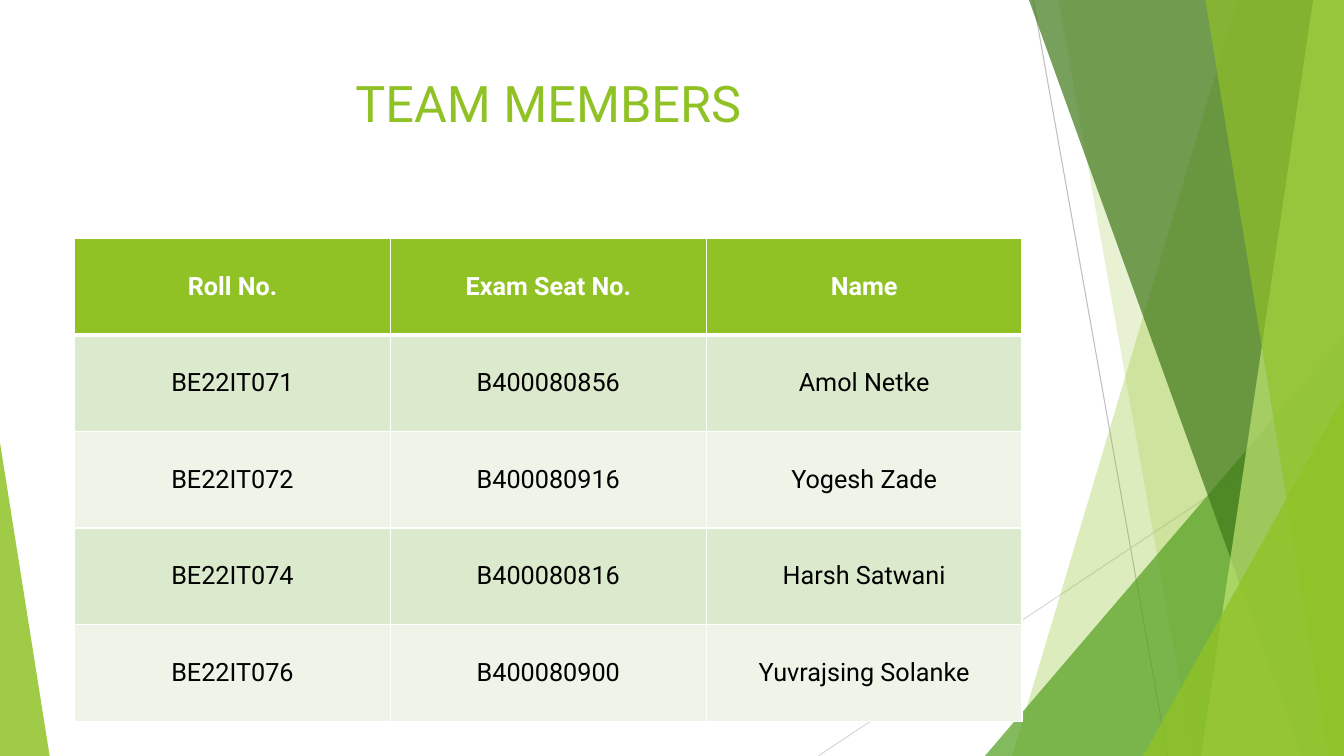
from pptx import Presentation
from pptx.dml.color import RGBColor
from pptx.enum.shapes import MSO_CONNECTOR as Link, MSO_SHAPE as Kind
from pptx.enum.text import MSO_ANCHOR as Anchor, PP_ALIGN as Align
from pptx.oxml import parse_xml
from pptx.oxml.ns import nsdecls, qn
from pptx.util import Pt

LIME = RGBColor(0x90, 0xC2, 0x26)
PALE = RGBColor(0xC0, 0xE4, 0x74)
GREEN = RGBColor(0x54, 0xA0, 0x21)
DARK = RGBColor(0x3F, 0x78, 0x19)
GREY = RGBColor(0xBF, 0xBF, 0xBF)
SILVER = RGBColor(0xD9, 0xD9, 0xD9)
WHITE = RGBColor(0xFF, 0xFF, 0xFF)
BLACK = RGBColor(0, 0, 0)
BANDS = [RGBColor(0xDB, 0xE9, 0xCD), RGBColor(0xEE, 0xF4, 0xE8)]
FONT = "Roboto"
WIDE, HIGH = 960, 540


def tint(shape, color, alpha):
    """Fill a shape with a see-through colour (alpha in percent), no outline."""
    shape.shadow.inherit = False
    shape.line.fill.background()
    shape.fill.solid()
    shape.fill.fore_color.rgb = color
    tone = shape.fill._xPr.find(qn("a:solidFill"))[0]
    tone.append(parse_xml(f'<a:alpha {nsdecls("a")} val="{alpha * 1000}"/>'))


def write(frame, text, size, color, bold=False):
    para = frame.paragraphs[0]
    para.alignment = Align.CENTER
    run = para.add_run()
    run.text = text
    run.font.name = FONT
    run.font.size = Pt(size)
    run.font.bold = bold
    run.font.color.rgb = color


deck = Presentation()
deck.slide_width, deck.slide_height = Pt(WIDE), Pt(HIGH)
slide = deck.slides.add_slide(deck.slide_layouts[5])
shapes = slide.shapes

# Thin lines behind the facets
for x1, y1, x2, y2, color in [
    (738, 0, 834, HIGH, GREY),
    (WIDE, 290, 584.5, HIGH, SILVER),
]:
    line = shapes.add_connector(Link.STRAIGHT, Pt(x1), Pt(y1), Pt(x2), Pt(y2))
    line.line.color.rgb = color
    line.line.width = Pt(0.75)
    line._element.spPr.append(parse_xml(f'<a:effectLst {nsdecls("a")}/>'))

# Facets, back to front: a band is (top x, foot x) up to the right edge,
# a triangle is (left, top, width, apex) down to the bottom edge
for spot, color, alpha in [
    ((884, 723), LIME, 30),
    ((756, 852), LIME, 20),
    ((703.5, 240, 256.5, 1), GREEN, 72),
    ((735, 929.5), DARK, 70),
    ((938, 858), PALE, 70),
    ((861, 949), LIME, 65),
    ((816.5, 283, 143.5, 1), LIME, 80),
    ((0, 316, 35.5, 0), LIME, 85),
]:
    if len(spot) == 2:
        top, foot = spot
        path = shapes.build_freeform(top, 0, scale=Pt(1))
        path.add_line_segments([(WIDE, 0), (WIDE, HIGH), (foot, HIGH)])
        facet = path.convert_to_shape()
    else:
        x, y, w, apex = spot
        facet = shapes.add_shape(
            Kind.ISOSCELES_TRIANGLE, Pt(x), Pt(y), Pt(w), Pt(HIGH - y))
        facet.adjustments[0] = apex
    tint(facet, color, alpha)

title = shapes.title
title.left, title.top, title.width, title.height = Pt(53.3), Pt(48), Pt(676.8), Pt(104)
title.text_frame.vertical_anchor = Anchor.TOP
write(title.text_frame, "TEAM MEMBERS", 36, LIME)

rows = [
    ("Roll No.", "Exam Seat No.", "Name"),
    ("BE22IT071", "B400080856", "Amol Netke"),
    ("BE22IT072", "B400080916", "Yogesh Zade"),
    ("BE22IT074", "B400080816", "Harsh Satwani"),
    ("BE22IT076", "B400080900", "Yuvrajsing Solanke"),
]
table = shapes.add_table(
    len(rows), 3, Pt(53.3), Pt(170.2), Pt(676.8), Pt(345)).table
for r, row in enumerate(rows):
    head = r == 0
    for c, text in enumerate(row):
        cell = table.cell(r, c)
        cell.vertical_anchor = Anchor.MIDDLE
        cell.margin_left = cell.margin_right = Pt(6)
        cell.margin_top = cell.margin_bottom = Pt(3.6)
        cell.fill.solid()
        cell.fill.fore_color.rgb = LIME if head else BANDS[(r - 1) % 2]
        write(cell.text_frame, text, 18, WHITE if head else BLACK, head)
        for i, side in enumerate("LRTB"):
            thick = 3 if (r, side) in [(0, "B"), (1, "T")] else 1
            cell._tc.get_or_add_tcPr().insert(i, parse_xml(
                f'<a:ln{side} {nsdecls("a")} w="{Pt(thick)}"><a:solidFill>'
                f'<a:srgbClr val="{WHITE}"/></a:solidFill></a:ln{side}>'))

deck.save("out.pptx")
